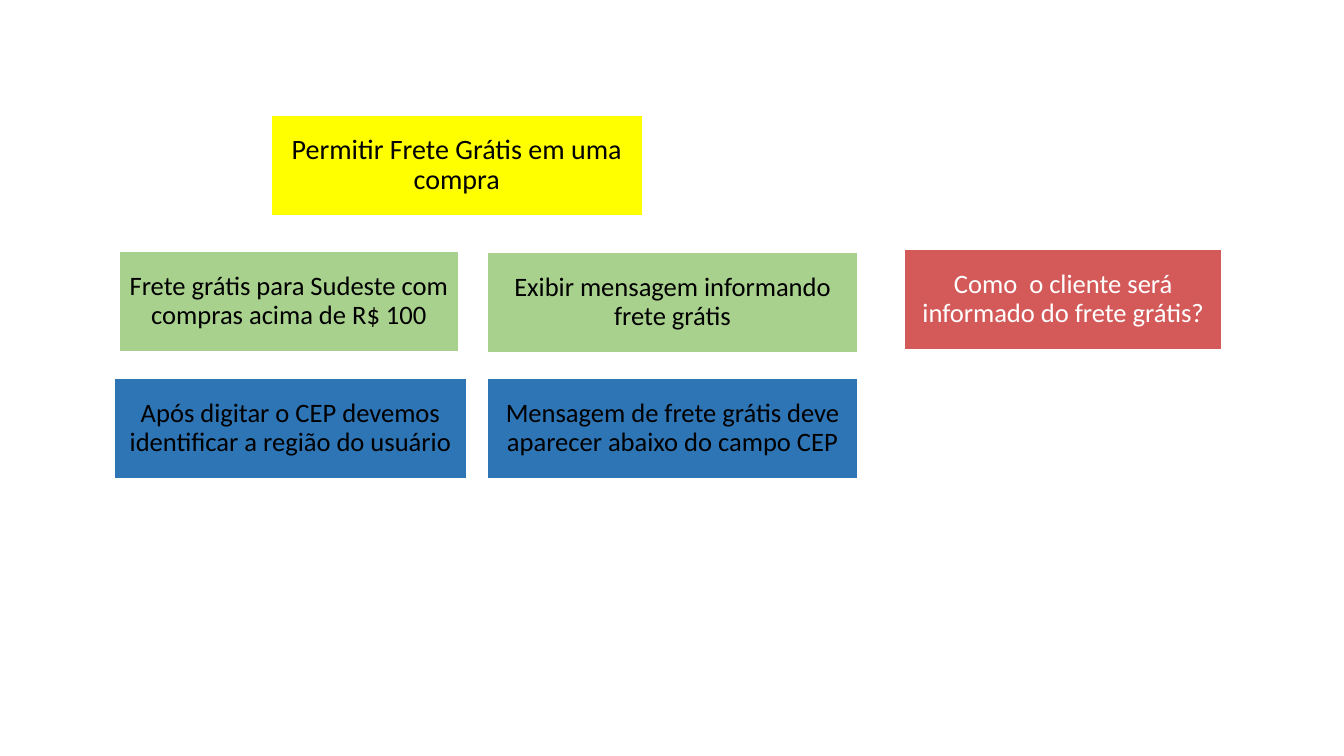
from pptx import Presentation
from pptx.dml.color import RGBColor
from pptx.enum.shapes import MSO_SHAPE as Shape
from pptx.enum.text import MSO_ANCHOR as Anchor, PP_ALIGN as Align
from pptx.util import Inches, Pt

COLORS = {
    "story": "FFFF00",
    "rule": "A9D18E",
    "example": "2E75B6",
    "question": "D45A5A",
    "dark": "000000",
    "light": "FFFFFF",
}
CARD_HEIGHT = 1
WIDE = 3.68
INSET = 0.08

# kind, text, left, top, width
CARDS = [
    ("story", "Permitir Frete Grátis em uma compra", 2.69, 1.14, WIDE),
    ("rule", "Frete grátis para Sudeste com compras acima de R$ 100", 1.18, 2.49, 3.37),
    ("rule", "Exibir mensagem informando frete grátis", 4.83, 2.5, WIDE),
    ("example", "Após digitar o CEP devemos identificar a região do usuário", 1.13, 3.75, 3.5),
    ("example", "Mensagem de frete grátis deve aparecer abaixo do campo CEP", 4.83, 3.75, WIDE),
    ("question", "Como  o cliente será informado do frete grátis?", 8.97, 2.47, 3.15),
]


def color(name):
    """Return the palette colour with this name."""
    return RGBColor.from_string(COLORS[name])


def add_card(page, kind, text, left, top, width):
    """Add one card of the example map, coloured by its kind."""
    card = page.shapes.add_shape(
        Shape.RECTANGLE, Inches(left), Inches(top), Inches(width), Inches(CARD_HEIGHT)
    )
    card.shadow.inherit = False
    card.fill.solid()
    card.fill.fore_color.rgb = color(kind)
    card.line.color.rgb = color("light")
    card.line.width = Pt(1)

    frame = card.text_frame
    frame.word_wrap = True
    frame.vertical_anchor = Anchor.MIDDLE
    frame.margin_left = frame.margin_right = Inches(INSET)
    frame.margin_top = frame.margin_bottom = Inches(INSET)

    para = frame.paragraphs[0]
    para.text = text
    para.alignment = Align.CENTER
    para.line_spacing = 0.9
    para.font.name = "Calibri"
    para.font.size = Pt(20 if kind == "story" else 19)
    para.font.color.rgb = color("light" if kind == "question" else "dark")


deck = Presentation()
deck.slide_width = Inches(13.33)
deck.slide_height = Inches(7.5)
page = deck.slides.add_slide(deck.slide_layouts[6])
for card_details in CARDS:
    add_card(page, *card_details)
deck.save("out.pptx")
